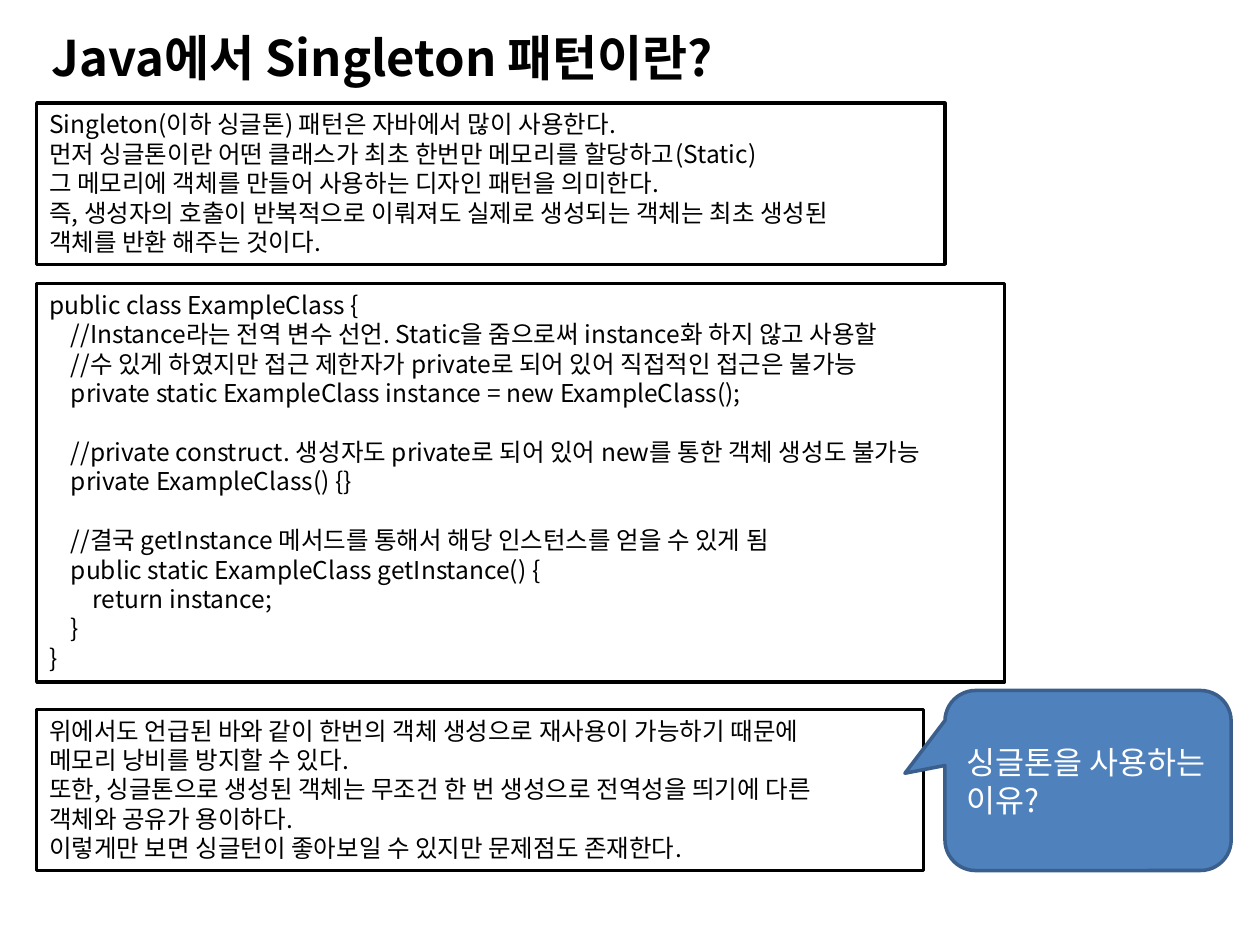
"""Build a slide that explains the Singleton pattern in Java."""
from lxml import etree
from pptx import Presentation, util as u
from pptx.dml.color import RGBColor
from pptx.enum import shapes, text
from pptx.oxml.ns import qn

BLACK = RGBColor(0x00, 0x00, 0x00)
WHITE = RGBColor(0xFF, 0xFF, 0xFF)
BLUE = RGBColor(0x4F, 0x81, 0xBD)
DARK_BLUE = RGBColor(0x3A, 0x5F, 0x8C)
FONT = "Noto Sans CJK KR"

LEFT = 0.74
INDENT = 0.44
BLANK_LINE = u.Pt(16.8)

TITLE = "Java에서 Singleton 패턴이란?"
REASON = "싱글톤을 사용하는 이유?"

DEFINITION = [
    "Singleton(이하 싱글톤) 패턴은 자바에서 많이 사용한다.",
    "먼저 싱글톤이란 어떤 클래스가 최초 한번만 메모리를 할당하고(Static)",
    "그 메모리에 객체를 만들어 사용하는 디자인 패턴을 의미한다.",
    "즉, 생성자의 호출이 반복적으로 이뤄져도 실제로 생성되는 객체는 최초 생성된",
    "객체를 반환 해주는 것이다.",
]
CODE = """public class ExampleClass {
    //Instance라는 전역 변수 선언. Static을 줌으로써 instance화 하지 않고 사용할
    //수 있게 하였지만 접근 제한자가 private로 되어 있어 직접적인 접근은 불가능
    private static ExampleClass instance = new ExampleClass();

    //private construct. 생성자도 private로 되어 있어 new를 통한 객체 생성도 불가능
    private ExampleClass() {}

    //결국 getInstance 메서드를 통해서 해당 인스턴스를 얻을 수 있게 됨
    public static ExampleClass getInstance() {
        return instance;
    }
}""".split("\n")
BENEFITS = [
    "위에서도 언급된 바와 같이 한번의 객체 생성으로 재사용이 가능하기 때문에",
    "메모리 낭비를 방지할 수 있다.",
    "또한, 싱글톤으로 생성된 객체는 무조건 한 번 생성으로 전역성을 띄기에 다른",
    "객체와 공유가 용이하다.",
    "이렇게만 보면 싱글턴이 좋아보일 수 있지만 문제점도 존재한다.",
]
PANELS = [
    (2.08, 18.31, 3.25, DEFINITION),
    (5.72, 19.51, 8.03, CODE),
    (14.3, 17.88, 3.25, BENEFITS),
]


def write(box, lines, size, color, anchor, bold=False):
    frame = box.text_frame
    frame.word_wrap = True
    frame.vertical_anchor = anchor
    filled = [line for line in lines if line]
    frame.text = "\n".join(line.lstrip() for line in filled)
    after_blank = {after for before, after in zip(lines, lines[1:]) if not before}
    for para, line in zip(frame.paragraphs, filled):
        para.alignment = text.PP_ALIGN.LEFT
        depth = (len(line) - len(line.lstrip())) // 4
        if depth:
            para._p.get_or_add_pPr().set("marL", str(u.Cm(depth * INDENT)))
        if line in after_blank:
            para.space_before = BLANK_LINE
        for font in [para.font] + [span.font for span in para.runs]:
            font.name, font.size, font.bold = FONT, u.Pt(size), bold
            font.color.rgb = color
            etree.SubElement(font._element, qn("a:ea")).set("typeface", FONT)


def add_box(page, kind, place, fill, line):
    box = page.shapes.add_shape(kind, *map(u.Cm, place))
    box.shadow.inherit = False
    box.fill.solid()
    box.fill.fore_color.rgb = fill
    box.line.color.rgb = line
    box.line.width = u.Pt(2)
    return box


def main():
    deck = Presentation()
    deck.slide_width, deck.slide_height = u.Cm(25.4), u.Cm(19.05)
    page = deck.slides.add_slide(deck.slide_layouts[6])

    title = page.shapes.add_textbox(*map(u.Cm, (0.79, 0.33, 24, 1.63)))
    write(title, [TITLE], 28, BLACK, text.MSO_ANCHOR.MIDDLE, bold=True)

    for top, width, height, lines in PANELS:
        panel = add_box(page, shapes.MSO_SHAPE.RECTANGLE,
                        (LEFT, top, width, height), WHITE, BLACK)
        write(panel, lines, 14, BLACK, text.MSO_ANCHOR.TOP)

    callout = add_box(page, shapes.MSO_SHAPE.ROUNDED_RECTANGULAR_CALLOUT,
                      (19.05, 13.92, 5.77, 3.63), BLUE, DARK_BLUE)
    for index, value in enumerate((-0.64, -0.04, 0.17)):
        callout.adjustments[index] = value
    write(callout, [REASON], 18, WHITE, text.MSO_ANCHOR.MIDDLE)

    deck.save("out.pptx")


if __name__ == "__main__":
    main()
